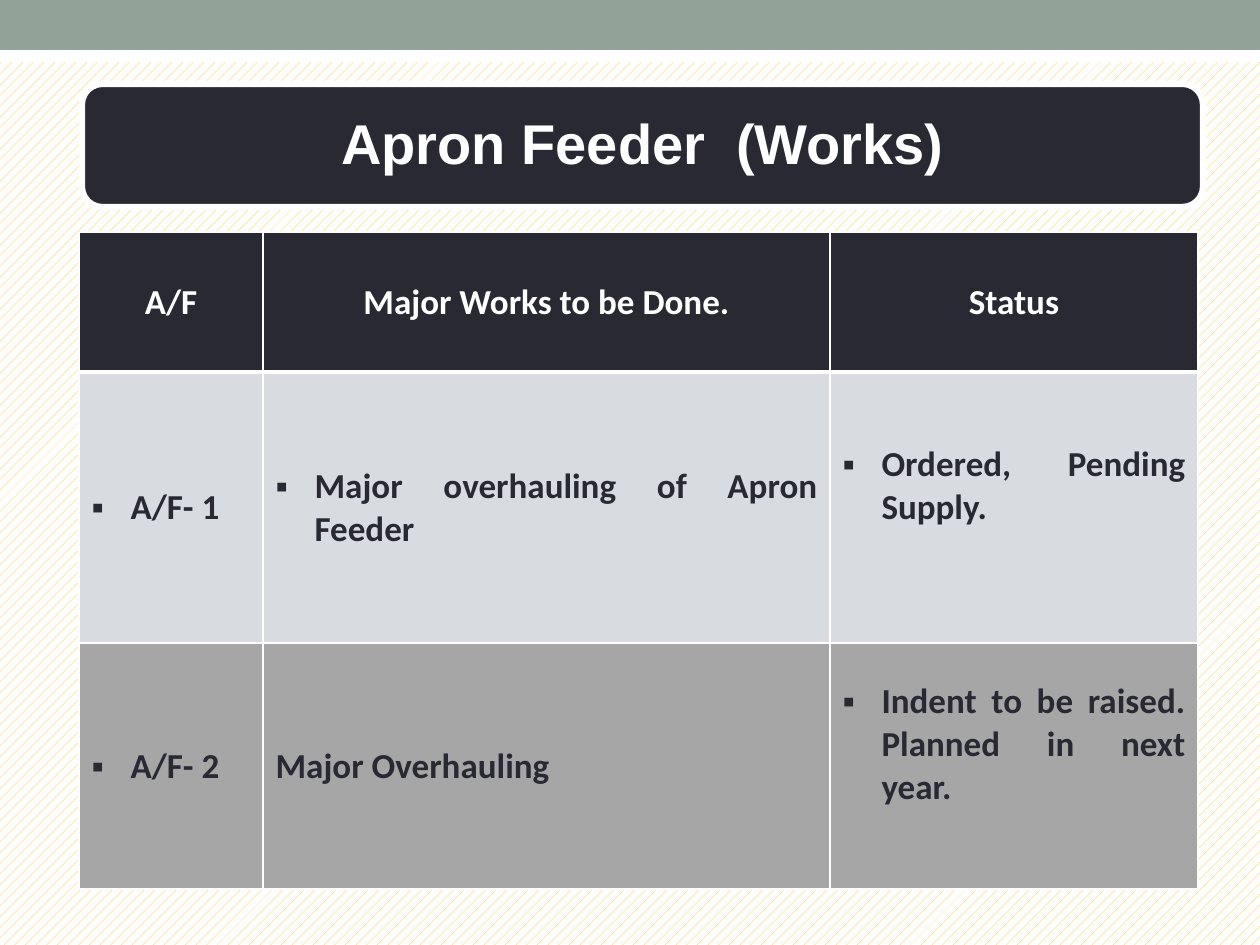
from lxml.etree import SubElement
from pptx import Presentation
from pptx.dml.color import RGBColor
from pptx.enum.dml import MSO_PATTERN
from pptx.enum.shapes import MSO_SHAPE
from pptx.enum.text import MSO_ANCHOR, MSO_AUTO_SIZE, PP_ALIGN
from pptx.oxml.ns import qn
from pptx.util import Pt

PX = 914400 // 126
WHITE, DARK, SAGE, AMBER = "FFFFFF", "292934", "93A299", "FFC000"
LIGHT, GREY = "D8DBDF", "A6A6A6"
COLS = [184, 567, 368]
HEADINGS = ["A/F", "Major Works to be Done.", "Status"]
HEADER_H, LINE_H, INDENT = 140, 43, 39
# Each row: height, fill, then (text, has bullet, extra space below)
ROWS = [
    (271, LIGHT, [("A/F- 1", True, 0),
                  ("Major overhauling of Apron Feeder", True, 0),
                  ("Ordered, Pending Supply.", True, LINE_H)]),
    (246, GREY, [("A/F- 2", True, 0),
                 ("Major Overhauling", False, 0),
                 ("Indent to be raised. Planned in next year.", True, LINE_H)]),
]


def px(n):
    """Turn pixels into EMU."""
    return int(n * PX)


def rgb(value):
    """Turn a hex string into a colour."""
    return RGBColor.from_string(value)


def set_background(s):
    """Fill the slide background with a light amber pattern."""
    fill = s.background.fill
    fill.patterned()
    fill.pattern = MSO_PATTERN.PERCENT_20
    fill.fore_color.rgb = rgb(AMBER)
    fill.back_color.rgb = rgb(WHITE)


def add_box(s, box, fill, kind=MSO_SHAPE.RECTANGLE, line=None, width=1):
    """Add a filled preset shape with an optional outline."""
    sp = s.shapes.add_shape(kind, *map(px, box))
    sp.shadow.inherit = False
    sp.fill.solid()
    sp.fill.fore_color.rgb = rgb(fill)
    if line:
        sp.line.color.rgb = rgb(line)
        sp.line.width = Pt(width)
    else:
        sp.line.fill.background()
    return sp


def write(p, text, size=20, font="Calibri", color=DARK, align=PP_ALIGN.JUSTIFY):
    """Write one bold run into a paragraph."""
    p.alignment = align
    r = p.add_run()
    r.text = text
    r.font.size = Pt(size)
    r.font.name = font
    r.font.bold = True
    r.font.color.rgb = rgb(color)


def add_bullet(p):
    """Give a paragraph a square bullet with a hanging indent."""
    pPr = p._p.get_or_add_pPr()
    pPr.set("marL", str(px(INDENT)))
    pPr.set("indent", str(-px(INDENT)))
    SubElement(pPr, qn("a:buFont"), typeface="Arial")
    SubElement(pPr, qn("a:buChar"), char="▪")


def set_borders(cell, bottom=1):
    """Draw white borders round a cell."""
    tcPr = cell._tc.get_or_add_tcPr()
    for side, width in (("L", 1), ("R", 1), ("T", 1), ("B", bottom)):
        ln = SubElement(tcPr, qn("a:ln" + side), w=str(Pt(width)))
        fill = SubElement(ln, qn("a:solidFill"))
        SubElement(fill, qn("a:srgbClr"), val=WHITE)


def fill_cell(cell, text, fill, bullet=False, below=0, bottom=1, **fmt):
    """Format a table cell and write its text."""
    set_borders(cell, bottom)
    cell.fill.solid()
    cell.fill.fore_color.rgb = rgb(fill)
    cell.vertical_anchor = MSO_ANCHOR.MIDDLE
    cell.margin_bottom = px(6 + below)
    p = cell.text_frame.paragraphs[0]
    write(p, text, **fmt)
    if bullet:
        add_bullet(p)


def add_works_table(s):
    """Add the table of works and their status."""
    heights = [HEADER_H] + [row[0] for row in ROWS]
    frame = s.shapes.add_table(len(heights), len(COLS), px(79), px(232),
                               px(sum(COLS)), px(sum(heights)))
    table = frame.table
    table.horz_banding = False
    for column, width in zip(table.columns, COLS):
        column.width = px(width)
    for row, height in zip(table.rows, heights):
        row.height = px(height)
    for c, heading in enumerate(HEADINGS):
        fill_cell(table.cell(0, c), heading, DARK, bottom=3,
                  color=WHITE, align=PP_ALIGN.CENTER)
    for r, (_, fill, cells) in enumerate(ROWS, 1):
        for c, (text, bullet, below) in enumerate(cells):
            fill_cell(table.cell(r, c), text, fill, bullet, below)


def add_title(s, text):
    """Place the title placeholder over a rounded banner."""
    banner = add_box(s, (82, 84, 1121, 123), DARK,
                     MSO_SHAPE.ROUNDED_RECTANGLE, WHITE, 3.5)
    sp = s.shapes.title
    sp.left, sp.top, sp.width, sp.height = map(px, (82, 116, 1110, 111))
    banner._element.addnext(sp._element)
    tf = sp.text_frame
    tf.word_wrap = True
    tf.auto_size = MSO_AUTO_SIZE.NONE
    tf.vertical_anchor = MSO_ANCHOR.TOP
    tf.margin_left, tf.margin_right = px(27), px(15)
    tf.margin_top, tf.margin_bottom = 0, px(8)
    p = tf.paragraphs[0]
    p.line_spacing = 0.9
    write(p, text, size=32, font="Arial", color=WHITE, align=PP_ALIGN.CENTER)


def main():
    """Build the slide and save it."""
    prs = Presentation()
    prs.slide_width, prs.slide_height = px(1260), px(945)
    s = prs.slides.add_slide(prs.slide_layouts[5])
    set_background(s)
    add_box(s, (0, 30, 1260, 32), WHITE)
    add_box(s, (0, 0, 1260, 50), SAGE)
    add_works_table(s)
    add_title(s, "Apron Feeder  (Works)")
    prs.save("out.pptx")


main()
